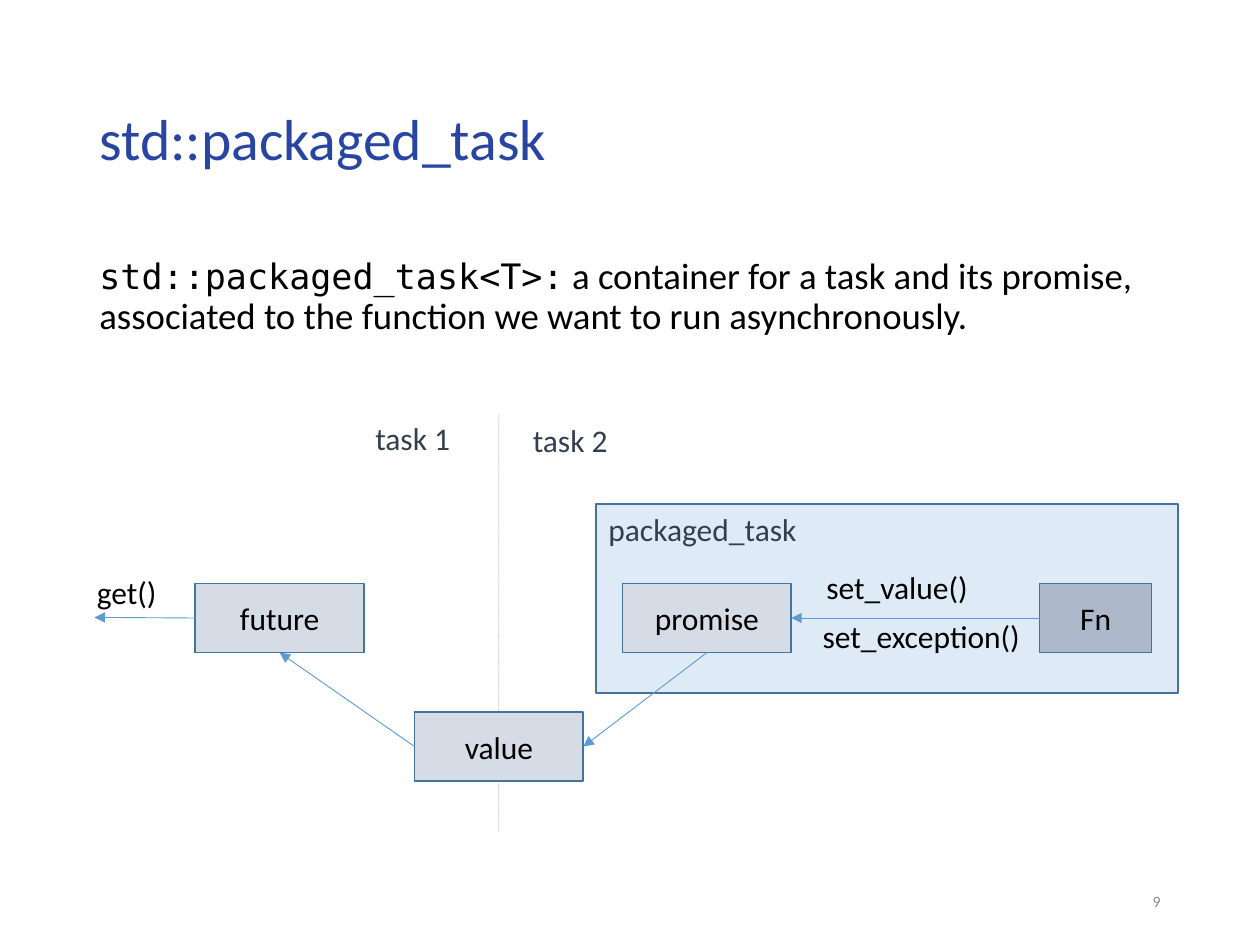
from pptx import Presentation
from pptx.dml.color import RGBColor
from pptx.enum.dml import MSO_LINE
from pptx.enum.shapes import MSO_CONNECTOR, MSO_SHAPE
from pptx.enum.text import MSO_ANCHOR, PP_ALIGN
from pptx.oxml.xmlchemy import OxmlElement
from pptx.util import Inches, Pt

STRAIGHT = MSO_CONNECTOR.STRAIGHT
RECTANGLE = MSO_SHAPE.RECTANGLE
DASH = MSO_LINE.SQUARE_DOT
TOP, MIDDLE = MSO_ANCHOR.TOP, MSO_ANCHOR.MIDDLE
LEFT, CENTER, RIGHT = PP_ALIGN.LEFT, PP_ALIGN.CENTER, PP_ALIGN.RIGHT
LEFT_SIDE, BOTTOM_SIDE, RIGHT_SIDE = 1, 2, 3

COLORS = {
    "title": "2945A4", "text": "000000", "label": "333F50", "number": "8C8C8C",
    "container": "DEEBF7", "node": "D6DCE5", "function": "ADB9CA",
    "border": "43739E", "arrow": "5B9BD5", "divider": "548235",
}


class SlideBuilder:
    """Draws styled text, boxes and lines on one slide."""

    font = "Calibri"
    code_font = "DejaVu Sans Mono"

    def __init__(self, slide):
        self.shapes = slide.shapes

    def color(self, name):
        return RGBColor.from_string(COLORS[name])

    def fill_text(self, shape, text, size=18, color="text", align=LEFT, anchor=TOP):
        frame = shape.text_frame
        frame.vertical_anchor = anchor
        para = frame.paragraphs[0]
        para.alignment = align
        para.font.size = Pt(size)
        para.font.name = self.font
        para.font.color.rgb = self.color(color)
        if text:
            para.add_run().text = text
        return para

    def text(self, area, text, wrap=True, **style):
        box = self.shapes.add_textbox(*map(Inches, area))
        box.text_frame.word_wrap = wrap
        return self.fill_text(box, text, **style)

    def definition(self, area, term, meaning):
        para = self.text(area, "", size=21)
        para.line_spacing = 0.9
        para.space_before = Pt(7.5)
        span = para.add_run()
        span.text = term
        span.font.name = self.code_font
        span.font.size = Pt(20)
        para.add_run().text = meaning

    def box(self, area, text, fill="node", **style):
        box = self.shapes.add_shape(RECTANGLE, *map(Inches, area))
        box.shadow.inherit = False
        box.fill.solid()
        box.fill.fore_color.rgb = self.color(fill)
        box.line.color.rgb = self.color("border")
        box.line.width = Pt(1)
        self.fill_text(box, text, **style)
        return box

    def node(self, left, top, text, width=1.34, fill="node"):
        return self.box((left, top, width, 0.55), text, fill, align=CENTER, anchor=MIDDLE)

    def line(self, start, end, color, width):
        line = self.shapes.add_connector(STRAIGHT, *map(Inches, start + end))
        line.line.color.rgb = self.color(color)
        line.line.width = Pt(width)
        line._element.spPr.append(OxmlElement("a:effectLst"))
        return line

    def divider(self, start, end):
        line = self.line(start, end, "divider", 0.25)
        line.line.dash_style = DASH
        alpha = OxmlElement("a:alpha")
        alpha.set("val", "60000")
        line._element.spPr.find(".//{*}srgbClr").append(alpha)

    def arrow(self, source, source_side, target=None, target_side=None, end=(0, 0)):
        arrow = self.line((0, 0), end, "arrow", 0.5)
        arrow.begin_connect(source, source_side)
        if target is not None:
            arrow.end_connect(target, target_side)
        head = OxmlElement("a:tailEnd")
        head.set("type", "triangle")
        arrow._element.spPr.find("{*}ln").append(head)


def main():
    deck = Presentation()
    deck.slide_width, deck.slide_height = Inches(10), Inches(7.5)
    page = SlideBuilder(deck.slides.add_slide(deck.slide_layouts[6]))

    page.box((4.73, 4, 4.62, 1.5), "packaged_task", "container", color="label")
    title = page.text((0.69, 0.4, 8.62, 1.45), "std::packaged_task",
                      size=33, color="title", anchor=MIDDLE)
    title.line_spacing = 0.9
    page.definition(
        (0.69, 2, 8.62, 4.76), "std::packaged_task<T>:",
        " a container for a task and its promise, associated to the function "
        "we want to run asynchronously.")

    page.divider((3.96, 3.29), (3.96, 6.6))
    row = 4.63
    future = page.node(1.55, row, "future")
    value = page.node(3.29, 5.65, "value")
    promise = page.node(4.94, row, "promise")
    function = page.node(8.25, row, "Fn", 0.89, "function")

    page.arrow(value, LEFT_SIDE, future, BOTTOM_SIDE)
    page.arrow(promise, BOTTOM_SIDE, value, RIGHT_SIDE)
    page.arrow(function, LEFT_SIDE, promise, RIGHT_SIDE)
    page.arrow(future, LEFT_SIDE, end=(0.75, 4.9))

    for left, top, width, text, color in (
        (0.67, 4.5, 0.68, "get()", "text"),
        (6.46, 4.46, 1.36, "set_value()", "text"),
        (6.43, 4.85, 1.79, "set_exception()", "text"),
        (4.13, 3.29, 0.82, "task 2", "label"),
        (2.88, 3.28, 0.82, "task 1", "label"),
    ):
        page.text((left, top, width, 0.4), text, wrap=False, color=color)
    page.text((7.06, 6.95, 2.25, 0.4), "9", size=9, color="number",
              align=RIGHT, anchor=MIDDLE)

    deck.save("out.pptx")


if __name__ == "__main__":
    main()
